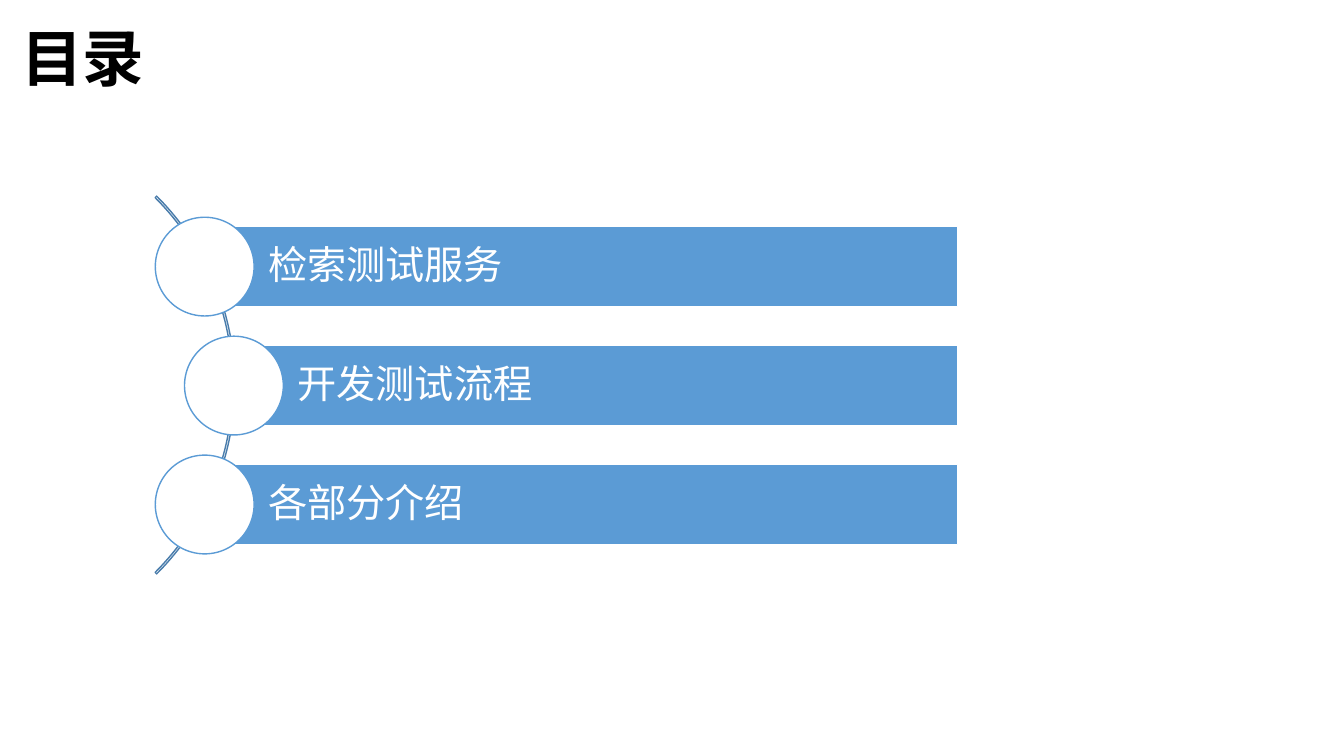
from lxml.etree import SubElement
from pptx import Presentation
from pptx.dml.color import RGBColor
from pptx.enum.shapes import MSO_SHAPE
from pptx.enum.text import MSO_ANCHOR, PP_ALIGN
from pptx.oxml.ns import qn
from pptx.util import Inches, Pt

TITLE = "目录"
TOPICS = [("检索测试服务", 2.03), ("开发测试流程", 2.32), ("各部分介绍", 2.03)]

FONT = "Noto Sans CJK SC"
BLACK = RGBColor(0x00, 0x00, 0x00)
WHITE = RGBColor(0xFF, 0xFF, 0xFF)
BLUE = RGBColor(0x5B, 0x9B, 0xD5)
DARK_BLUE = RGBColor(0x49, 0x7C, 0xAB)

BAR_RIGHT = 9.5
BAR_HEIGHT = 0.79
FIRST_BAR_TOP = 2.25
BAR_STEP = 1.18
CIRCLE_SIZE = 0.98


def write_text(frame, text, size, color, bold=False):
    """Write one left-aligned, vertically centred paragraph."""
    frame.word_wrap = True
    frame.vertical_anchor = MSO_ANCHOR.MIDDLE
    para = frame.paragraphs[0]
    para.text = text
    para.alignment = PP_ALIGN.LEFT
    para.line_spacing = 0.9
    para.font.name = FONT
    para.font.size = Pt(size)
    para.font.bold = bold
    para.font.color.rgb = color
    properties = para._p.get_or_add_pPr().get_or_add_defRPr()
    SubElement(properties, qn("a:ea"), typeface=FONT)


def add_outlined(page, kind, left, top, width, height, line, fill=None):
    """Add a preset shape with a one-point outline and an optional fill."""
    shape = page.shapes.add_shape(
        kind, Inches(left), Inches(top), Inches(width), Inches(height))
    shape.shadow.inherit = False
    if fill is None:
        shape.fill.background()
    else:
        shape.fill.solid()
        shape.fill.fore_color.rgb = fill
    shape.line.color.rgb = line
    shape.line.width = Pt(1)
    return shape


def add_topic(page, text, left, top):
    """Add a topic bar with a circle centred on its left edge."""
    bar = add_outlined(page, MSO_SHAPE.RECTANGLE, left, top,
                       BAR_RIGHT - left, BAR_HEIGHT, WHITE, BLUE)
    frame = bar.text_frame
    frame.margin_left = Inches(0.63)
    frame.margin_top = frame.margin_right = frame.margin_bottom = Inches(0.08)
    write_text(frame, text, 28, WHITE)
    add_outlined(page, MSO_SHAPE.OVAL, left - CIRCLE_SIZE / 2,
                 top + (BAR_HEIGHT - CIRCLE_SIZE) / 2,
                 CIRCLE_SIZE, CIRCLE_SIZE, BLUE, WHITE)


def main():
    """Build the contents slide."""
    deck = Presentation()
    deck.slide_width, deck.slide_height = Inches(13.33), Inches(7.5)
    page = deck.slides.add_slide(deck.slide_layouts[5])

    title = page.shapes.title
    title.left, title.top = Inches(0.11), Inches(0.1)
    title.width, title.height = Inches(13.08), Inches(1.03)
    write_text(title.text_frame, TITLE, 44, BLACK, bold=True)

    arc = add_outlined(page, MSO_SHAPE.BLOCK_ARC, -2.97, 1.17, 5.3, 5.3, DARK_BLUE)
    for index, value in enumerate((189, 27, 0.004)):
        arc.adjustments[index] = value

    for index, (text, left) in enumerate(TOPICS):
        add_topic(page, text, left, FIRST_BAR_TOP + index * BAR_STEP)

    deck.save("out.pptx")


if __name__ == "__main__":
    main()
